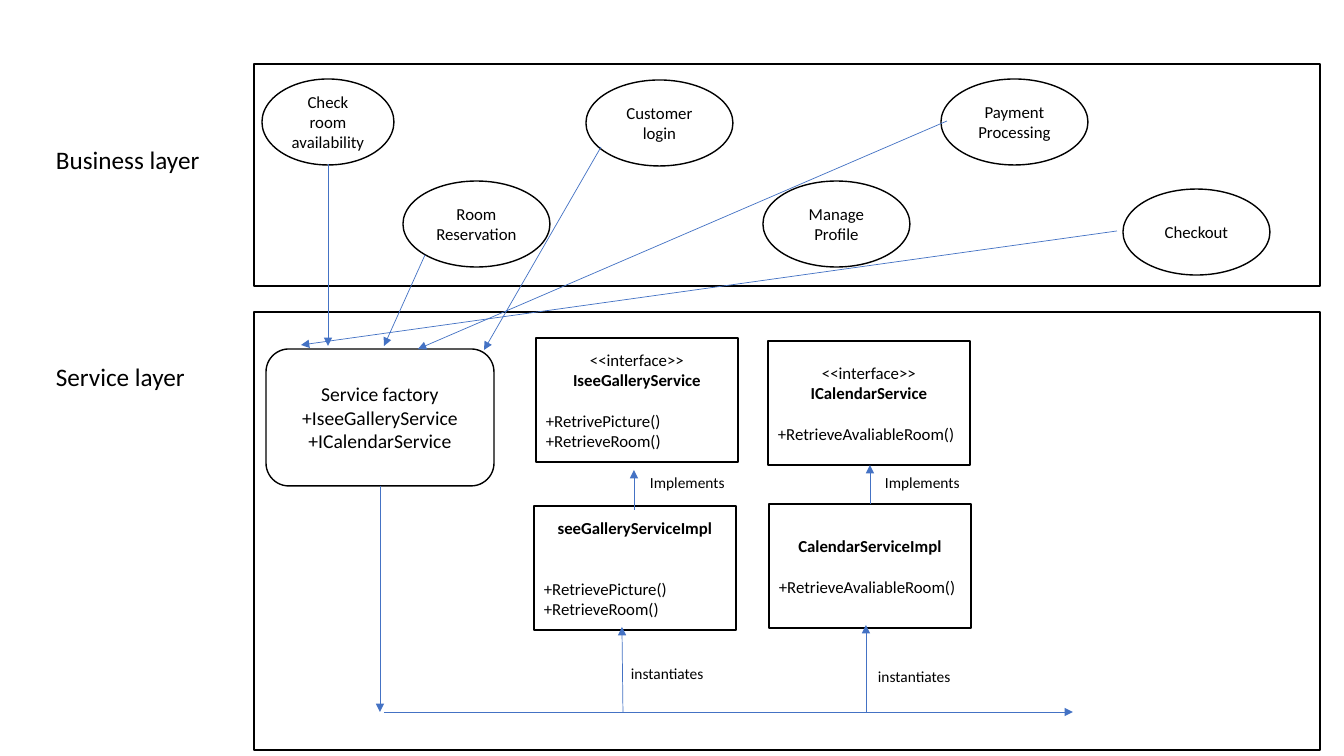
import pptx
import pptx.util
import pptx.dml.color
import pptx.enum.shapes
import pptx.enum.text
import pptx.oxml.ns
import lxml.etree

EMU_PER_PIXEL = 914400 / 100.8
BLACK, WHITE, BLUE = "000000", "FFFFFF", "4472C4"
LINE_HEIGHT = 14.65
SHAPE = pptx.enum.shapes.MSO_SHAPE
ALIGN = pptx.enum.text.PP_ALIGN


def px(*lengths):
    return [pptx.util.Emu(round(length * EMU_PER_PIXEL)) for length in lengths]


def color(value):
    return pptx.dml.color.RGBColor.from_string(value)


def format_paragraph(paragraph, size, align, bold=False):
    paragraph.alignment = align
    for run in paragraph.runs:
        run.font.name = "Calibri"
        run.font.size = pptx.util.Pt(size)
        run.font.bold = bold
        run.font.color.rgb = color(BLACK)


def add_box(slide, kind, bounds, text="", size=12):
    shape = slide.shapes.add_shape(kind, *px(*bounds))
    shape.shadow.inherit = False
    shape.fill.solid()
    shape.fill.fore_color.rgb = color(WHITE)
    shape.line.color.rgb = color(BLACK)
    shape.line.width = pptx.util.Pt(1)
    text_frame = shape.text_frame
    text_frame.word_wrap = True
    text_frame.vertical_anchor = pptx.enum.text.MSO_ANCHOR.MIDDLE
    text_frame.text = text
    for paragraph in text_frame.paragraphs:
        format_paragraph(paragraph, size, ALIGN.CENTER)
    return shape


def add_class_box(slide, left, top, stereotype, name, methods, gap_lines=1):
    heading = [stereotype, name] if stereotype else [name]
    text = "\n".join(heading + methods)
    shape = add_box(slide, SHAPE.RECTANGLE, (left, top, 202, 124), text)
    paragraphs = shape.text_frame.paragraphs
    name_index = len(heading) - 1
    format_paragraph(paragraphs[name_index], 12, ALIGN.CENTER, bold=True)
    members = paragraphs[name_index + 1:]
    for paragraph in members:
        format_paragraph(paragraph, 12, ALIGN.LEFT)
    members[0].space_before = pptx.util.Pt(gap_lines * LINE_HEIGHT)


def add_label(slide, bounds, text, size):
    text_frame = slide.shapes.add_textbox(*px(*bounds)).text_frame
    text_frame.word_wrap = True
    text_frame.text = text
    format_paragraph(text_frame.paragraphs[0], size, ALIGN.LEFT)


def add_arrow(slide, *ends):
    connector = slide.shapes.add_connector(
        pptx.enum.shapes.MSO_CONNECTOR.STRAIGHT, *px(*ends))
    connector.line.color.rgb = color(BLUE)
    connector.line.width = pptx.util.Pt(0.5)
    qn = pptx.oxml.ns.qn
    properties = connector.line._get_or_add_ln()
    lxml.etree.SubElement(properties, qn("a:tailEnd"), type="triangle")
    lxml.etree.SubElement(connector._element.spPr, qn("a:effectLst"))


def main():
    presentation = pptx.Presentation()
    presentation.slide_width, presentation.slide_height = px(1344, 756)
    slide = presentation.slides.add_slide(presentation.slide_layouts[6])

    for layer, label_top, panel_top, panel_height in (
            ("Business layer", 139, 64, 222),
            ("Service layer", 356, 312, 438)):
        add_label(slide, (46, label_top, 233, 50), layer, 18)
        add_box(slide, SHAPE.RECTANGLE, (254, panel_top, 1066, panel_height))

    for use_case, left, top, width in (
            ("Check room availability", 262, 79, 132),
            ("Room Reservation", 403, 181, 147),
            ("Customer login", 586, 80, 147),
            ("Manage Profile", 763, 181, 147),
            ("Payment Processing", 941, 79, 147),
            ("Checkout", 1123, 189, 147)):
        add_box(slide, SHAPE.OVAL, (left, top, width, 86), use_case)

    add_box(slide, SHAPE.ROUNDED_RECTANGLE, (266, 349, 228, 137),
            "Service factory\n+IseeGalleryService\n+ICalendarService", 14)

    calendar_methods = ["+RetrieveAvaliableRoom()"]
    add_class_box(slide, 536, 338, "<<interface>>", "IseeGalleryService",
                  ["+RetrivePicture()", "+RetrieveRoom()"])
    add_class_box(slide, 768, 341, "<<interface>>", "ICalendarService",
                  calendar_methods)
    add_class_box(slide, 534, 506, "", "seeGalleryServiceImpl",
                  ["+RetrievePicture()", "+RetrieveRoom()"], gap_lines=2)
    add_class_box(slide, 769, 504, "", "CalendarServiceImpl",
                  calendar_methods)

    use_case_arrows = [
        (328, 164, 328, 346), (425, 255, 384, 346), (601, 147, 484, 350),
        (947, 121, 418, 349), (1117, 231, 301, 345)]
    factory_arrows = [(380, 486, 380, 712), (384, 712, 1073, 712)]
    instantiates_arrows = [(623, 713, 622, 627), (866, 712, 866, 625)]
    implements_arrows = [(634, 510, 634, 470), (870, 504, 870, 465)]
    for ends in (use_case_arrows + factory_arrows
                 + instantiates_arrows + implements_arrows):
        add_arrow(slide, *ends)

    for text, left, top in (
            ("Implements", 640, 468), ("Implements", 875, 468),
            ("instantiates", 621, 659), ("instantiates", 868, 662)):
        add_label(slide, (left, top, 106, 29), text, 11)

    presentation.save("out.pptx")


main()
